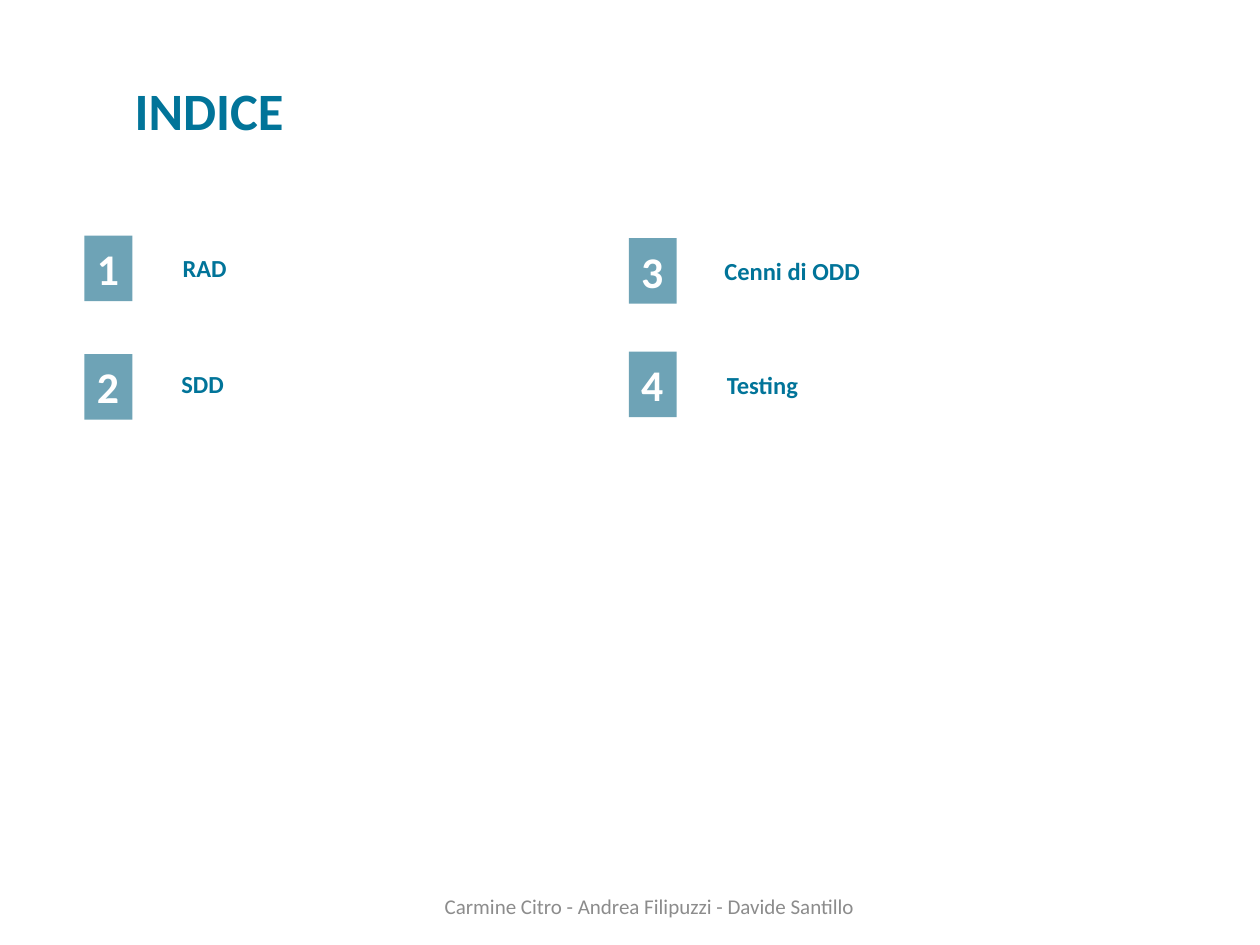
import pptx
import pptx.util
import pptx.dml.color
import pptx.enum.shapes
import pptx.enum.text

Inches = pptx.util.Inches
ALIGN = pptx.enum.text.PP_ALIGN
ANCHOR = pptx.enum.text.MSO_ANCHOR
COLORS = {"teal": "017499", "tile": "6EA3B6", "white": "FFFFFF", "grey": "8C8C8C"}


def write(shape, text, size, color, bold=True, align=ALIGN.LEFT,
          anchor=ANCHOR.TOP, wrap=True):
    frame = shape.text_frame
    frame.word_wrap = wrap
    frame.vertical_anchor = anchor
    paragraph = frame.paragraphs[0]
    paragraph.alignment = align
    run = paragraph.add_run()
    run.text = text
    run.font.name = "Calibri"
    run.font.size = pptx.util.Pt(size)
    run.font.bold = bold
    run.font.color.rgb = pptx.dml.color.RGBColor.from_string(COLORS[color])


deck = pptx.Presentation()
deck.slide_width = Inches(10)
deck.slide_height = Inches(7.5)
slide = deck.slides.add_slide(deck.slide_layouts[6])

# Title
title = slide.shapes.add_textbox(Inches(0.44), Inches(0.57), Inches(2.44), Inches(0.61))
write(title, "INDICE", 30, "teal", align=ALIGN.CENTER)

# Index entries: number, topic, tile left and top, topic left and top
entries = [
    ("1", "RAD", 0.67, 1.87, 1.35, 1.96),
    ("2", "SDD", 0.67, 2.81, 1.34, 2.88),
    ("3", "Cenni di ODD", 4.99, 1.89, 5.65, 1.98),
    ("4", "Testing", 4.99, 2.79, 5.67, 2.89),
]
for number, topic, tile_left, tile_top, topic_left, topic_top in entries:
    label = slide.shapes.add_textbox(
        Inches(topic_left), Inches(topic_top), Inches(3.11), Inches(0.34))
    write(label, topic, 14, "teal")

    tile = slide.shapes.add_shape(
        pptx.enum.shapes.MSO_SHAPE.RECTANGLE,
        Inches(tile_left), Inches(tile_top), Inches(0.38), Inches(0.52))
    tile.shadow.inherit = False
    tile.fill.solid()
    tile.fill.fore_color.rgb = pptx.dml.color.RGBColor.from_string(COLORS["tile"])
    tile.line.fill.background()
    write(tile, number, 25, "white", wrap=False)

# Footer with the authors
footer = slide.shapes.add_textbox(Inches(3.42), Inches(7.03), Inches(3.47), Inches(0.32))
write(footer, "Carmine Citro - Andrea Filipuzzi - Davide Santillo", 12, "grey",
      bold=False, align=ALIGN.CENTER, anchor=ANCHOR.MIDDLE)

deck.save("out.pptx")
